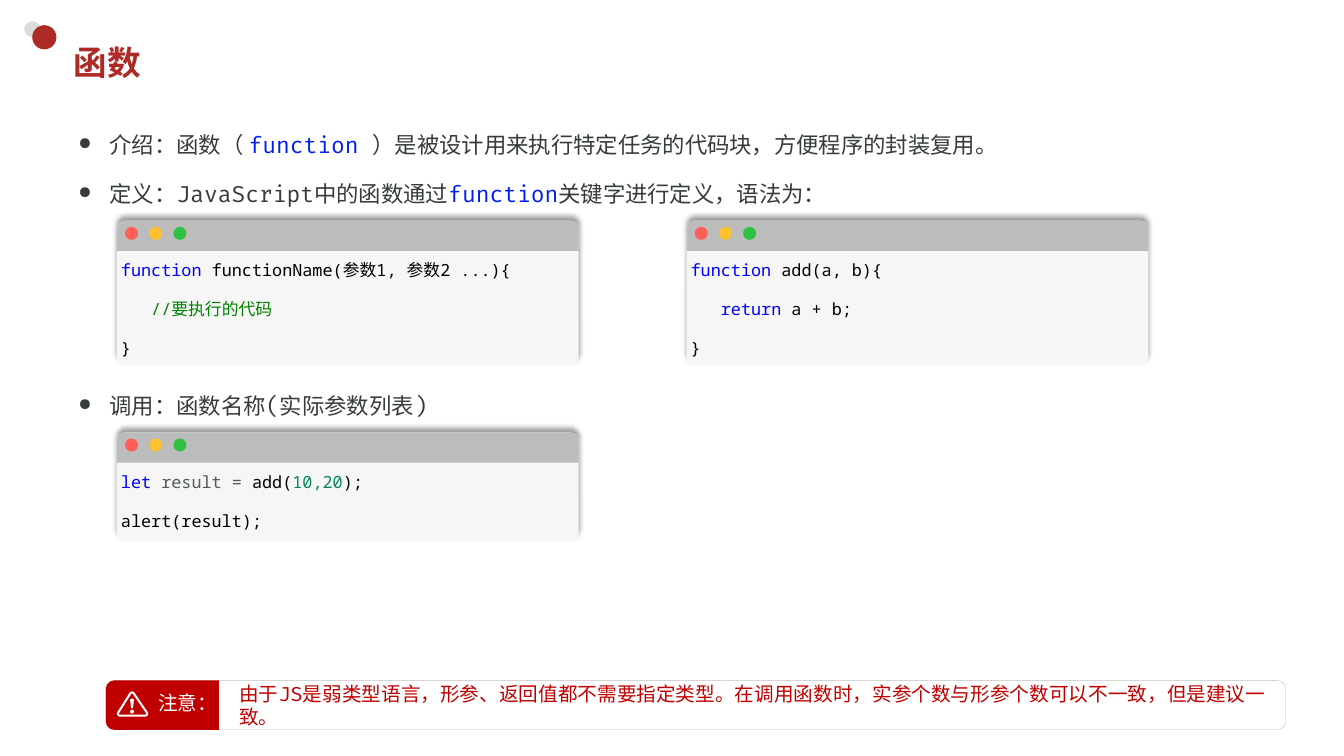
from math import cos, pi, sin

from lxml.etree import SubElement
from pptx import Presentation
from pptx.dml.color import RGBColor
from pptx.enum.shapes import MSO_SHAPE
from pptx.enum.text import MSO_ANCHOR, PP_ALIGN
from pptx.oxml.ns import qn
from pptx.util import Inches, Pt

COLORS = {
    "brand": "AD2B26", "dot": "DADDDC", "body": "363C3B", "term": "001FEE",
    "window": "F6F6F6", "bar": "BCBCBC", "red": "FE5F56", "yellow": "FFC12E",
    "green": "2FC141", "keyword": "0000FF", "code": "000000",
    "comment": "008000", "muted": "525B5A", "number": "098658",
    "note": "C00000", "border": "BFBFBF", "white": "FFFFFF",
}
BODY_FONT, CODE_FONT, CJK_FONT = "Fira Code", "Noto Sans Mono", "Noto Sans CJK JP"


def color(name):
    return RGBColor.from_string(COLORS[name])


def add_filled(shapes, kind, box, fill):
    shape = shapes.add_shape(kind, *[Inches(value) for value in box])
    shape.shadow.inherit = False
    shape.fill.solid()
    shape.fill.fore_color.rgb = color(fill)
    shape.line.fill.background()
    return shape


def set_frame(shape, anchor, insets, wrap=True):
    frame = shape.text_frame
    frame.word_wrap = wrap
    frame.vertical_anchor = anchor
    (frame.margin_left, frame.margin_top, frame.margin_right,
     frame.margin_bottom) = [Inches(value) for value in insets]
    return frame


def add_text_box(shapes, box, anchor=MSO_ANCHOR.TOP, wrap=True,
                 insets=(0.1, 0.05, 0.1, 0.05)):
    shape = shapes.add_textbox(*[Inches(value) for value in box])
    return set_frame(shape, anchor, insets, wrap)


def add_spans(para, spans, size, font, bold=False):
    para.alignment = PP_ALIGN.LEFT
    for text, name in spans:
        span = para.add_run()
        span.text = text
        span.font.size = Pt(size)
        span.font.bold = bold
        span.font.name = font
        span.font.color.rgb = color(name)
        SubElement(span.font._element, qn("a:ea"), typeface=CJK_FONT)


def add_paragraphs(frame):
    """Yield the first paragraph, then new ones."""
    yield frame.paragraphs[0]
    while True:
        yield frame.add_paragraph()


def add_header(page, left, top):
    add_filled(page.shapes, MSO_SHAPE.OVAL, (left, top, 0.16, 0.16), "dot")
    add_filled(page.shapes, MSO_SHAPE.OVAL, (left + 0.08, top + 0.04, 0.24, 0.24), "brand")
    frame = add_text_box(page.shapes, (left + 0.39, top + 0.15, 11.75, 0.52),
                         MSO_ANCHOR.MIDDLE)
    add_spans(frame.paragraphs[0], [("函数", "brand")], 24, CODE_FONT, True)


def add_bullets(page, box, bullets):
    frame = add_text_box(page.shapes, box)
    for (space, spans), para in zip(bullets, add_paragraphs(frame)):
        para.line_spacing = 1.5
        if space:
            para.space_before = Pt(space)
        properties = para._p.get_or_add_pPr()
        properties.set("marL", str(Inches(0.31)))
        properties.set("indent", str(-Inches(0.31)))
        SubElement(properties, qn("a:buSzPct"), val="75000")
        SubElement(properties, qn("a:buChar"), char="●")
        add_spans(para, spans, 16, BODY_FONT)


def add_window_shadow(shape):
    effects = shape._element.spPr.find(qn("a:effectLst"))
    shadow = SubElement(effects, qn("a:outerShdw"), blurRad=str(Pt(4)),
                        dist=str(Pt(3)), dir="16200000", algn="b", rotWithShape="0")
    tint = SubElement(shadow, qn("a:srgbClr"), val=COLORS["code"])
    SubElement(tint, qn("a:alpha"), val="40000")


def add_code_window(page, box, lines):
    left, top, width, height = box
    shapes = page.shapes.add_group_shape().shapes

    # Pane
    pane = add_filled(shapes, MSO_SHAPE.ROUNDED_RECTANGLE, box, "window")
    pane.adjustments[0] = 0.08 / height
    add_window_shadow(pane)

    # Title bar with three buttons
    bar = add_filled(shapes, MSO_SHAPE.ROUND_2_SAME_RECTANGLE,
                     (left, top, width, 0.3), "bar")
    bar.adjustments[0] = 0.27
    for index, name in enumerate(("red", "yellow", "green")):
        add_filled(shapes, MSO_SHAPE.OVAL,
                   (left + 0.08 + 0.24 * index, top + 0.06, 0.13, 0.13), name)

    # Code below the bar
    frame = add_text_box(shapes, (left, top + 0.29, width, height - 0.29),
                         insets=(0.04, 0, 0.04, 0))
    for row, (spans, para) in enumerate(zip(lines, add_paragraphs(frame))):
        para.line_spacing = 1.5
        if row:
            para.space_before = Pt(6)
        add_spans(para, spans, 12, CODE_FONT)


def arc(x, y, radius, start, end, steps=8):
    angles = [(start + (end - start) * step / steps) * pi / 180
              for step in range(steps + 1)]
    return [(x + radius * cos(angle), y + radius * sin(angle)) for angle in angles]


def rounded_triangle(x, y, radius):
    """Contour around three corner centres, in inches."""
    return (arc(x + 0.15, y + 0.03, radius, 213, 327)
            + arc(x + 0.28, y + 0.22, radius, -33, 90)
            + arc(x + 0.03, y + 0.22, radius, 90, 213))


def add_warning_icon(shapes, left, top):
    middle = left + 0.15
    contours = [
        rounded_triangle(left, top, 0.03),
        rounded_triangle(left, top, 0.01)[::-1],
        [(middle - 0.02, top + 0.08), (middle, top + 0.07), (middle + 0.02, top + 0.08),
         (middle + 0.01, top + 0.16), (middle, top + 0.17), (middle - 0.01, top + 0.16)],
        arc(middle, top + 0.2, 0.02, 0, 360),
    ]
    outlines = [[(Inches(x), Inches(y)) for x, y in contour] for contour in contours]
    builder = shapes.build_freeform(*outlines[0][0])
    builder.add_line_segments(outlines[0][1:])
    for outline in outlines[1:]:
        builder.move_to(*outline[0])
        builder.add_line_segments(outline[1:])
    icon = builder.convert_to_shape()
    icon.shadow.inherit = False
    icon.fill.solid()
    icon.fill.fore_color.rgb = color("white")
    icon.line.fill.background()


def add_note(page, box, text):
    left, top, width, height = box
    shapes = page.shapes.add_group_shape().shapes
    card = add_filled(shapes, MSO_SHAPE.ROUNDED_RECTANGLE, box, "white")
    card.fill.background()
    card.line.color.rgb = color("border")
    card.line.width = Pt(0.25)
    frame = set_frame(card, MSO_ANCHOR.MIDDLE, (1.3, 0.05, 0.1, 0.05))
    add_spans(frame.paragraphs[0], [(text, "note")], 14, BODY_FONT)

    # Red tab, turned so its round corners face left
    tab = 1.12
    shift = (tab - height) / 2
    add_filled(shapes, MSO_SHAPE.ROUND_2_SAME_RECTANGLE,
               (left + shift, top - shift, height, tab), "note").rotation = 270
    add_warning_icon(shapes, left + 0.11, top + 0.11)
    label = add_text_box(shapes, (left + 0.42, top + 0.06, 0.78, 0.34), wrap=False)
    add_spans(label.paragraphs[0], [("注意：", "white")], 14, CJK_FONT)


def main():
    deck = Presentation()
    deck.slide_width, deck.slide_height = Inches(13.33), Inches(7.5)
    page = deck.slides.add_slide(deck.slide_layouts[6])

    add_header(page, 0.24, 0.21)
    add_bullets(page, (0.68, 1.12, 11.7, 3.47), [
        (0, [("介绍：函数（ ", "body"), ("function ", "term"),
             ("）是被设计用来执行特定任务的代码块，方便程序的封装复用。", "body")]),
        (6, [("定义：JavaScript中的函数通过", "body"), ("function", "term"),
             ("关键字进行定义，语法为：", "body")]),
        (123, [("调用：函数名称(实际参数列表)", "body")]),
    ])
    add_code_window(page, (1.16, 2.19, 4.58, 1.43), [
        [("function", "keyword"), (" functionName(参数1, 参数2 ...){", "code")],
        [("   //要执行的代码", "comment")],
        [("}", "code")],
    ])
    add_code_window(page, (6.81, 2.19, 4.58, 1.43), [
        [("function", "keyword"), (" add(a, b){", "code")],
        [("   return", "keyword"), (" a + b;", "code")],
        [("}", "code")],
    ])
    add_code_window(page, (1.16, 4.29, 4.58, 1.08), [
        [("let ", "keyword"), ("result =", "muted"), (" add(", "code"),
         ("10,20", "number"), (");", "code")],
        [("alert(result);", "code")],
    ])
    add_note(page, (1.05, 6.75, 11.7, 0.49),
             "由于JS是弱类型语言，形参、返回值都不需要指定类型。"
             "在调用函数时，实参个数与形参个数可以不一致，但是建议一致。")
    deck.save("out.pptx")


if __name__ == "__main__":
    main()
